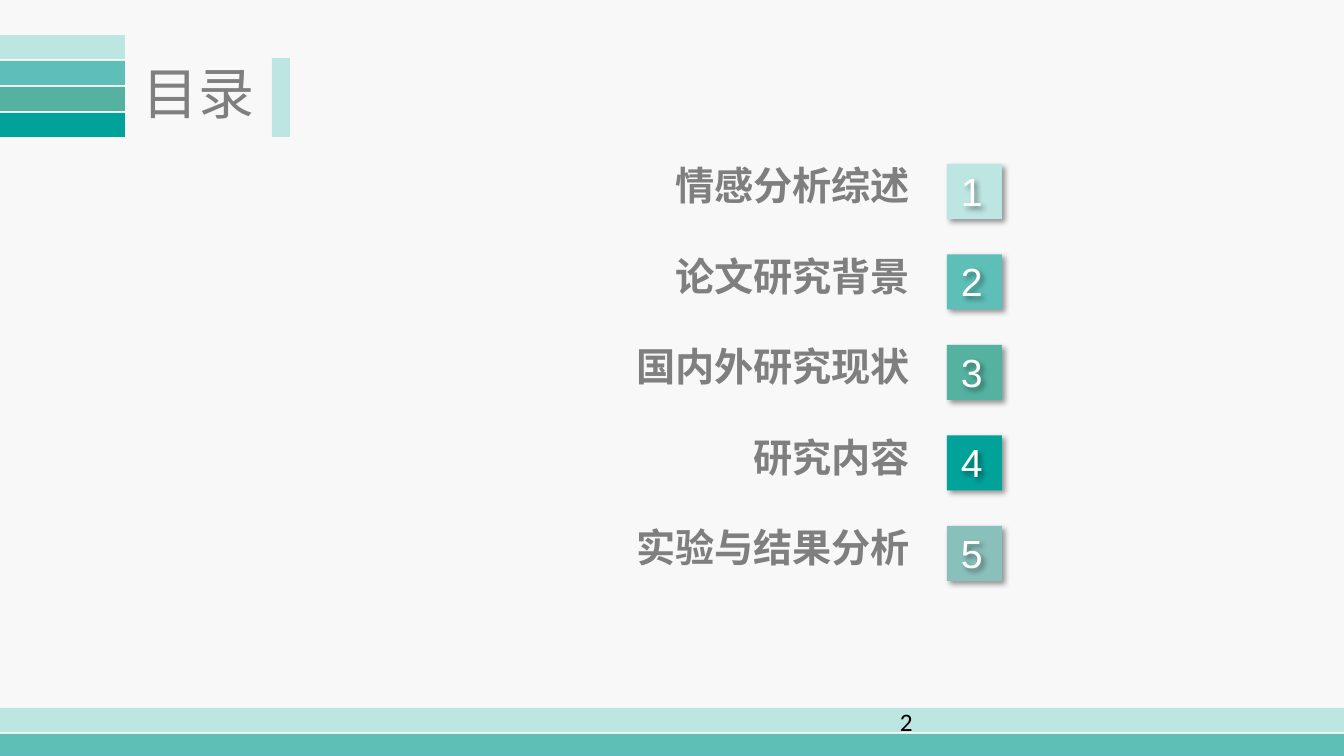
from lxml.etree import SubElement
from pptx import Presentation
from pptx.dml.color import RGBColor
from pptx.enum.shapes import MSO_SHAPE
from pptx.enum.text import MSO_ANCHOR, PP_ALIGN
from pptx.oxml import parse_xml
from pptx.oxml.ns import nsdecls, qn
from pptx.util import Pt

PX = 914400 / 100.8
CJK = "Noto Sans CJK SC"
GREY, WHITE = "7F7F7F", "FFFFFF"
TEALS = ["BDE5E2", "5EBFB8", "55B2A0", "00A29A", "8AC0BB"]
ENTRIES = ["情感分析综述", "论文研究背景", "国内外研究现状", "研究内容", "实验与结果分析"]
SHADOW = f"""<a:effectLst {nsdecls('a')}>
  <a:outerShdw blurRad="50800" dist="38100" dir="2700000" algn="tl" rotWithShape="0">
    <a:srgbClr val="000000"><a:alpha val="40000"/></a:srgbClr>
  </a:outerShdw>
</a:effectLst>"""


def add_bar(x, y, w, h, color):
    sp = s.shapes.add_shape(MSO_SHAPE.RECTANGLE, *(round(v * PX) for v in (x, y, w, h)))
    sp.shadow.inherit = False
    sp.fill.solid()
    sp.fill.fore_color.rgb = RGBColor.from_string(color)
    sp.line.fill.background()
    return sp


def put_text(sp, box, text, size, font, color, align=PP_ALIGN.LEFT, bold=False):
    """Place a text shape and write one formatted line in it."""
    sp.left, sp.top, sp.width, sp.height = (round(v * PX) for v in box)
    tf = sp.text_frame
    tf.word_wrap = True
    tf.vertical_anchor = MSO_ANCHOR.TOP
    p = tf.paragraphs[0]
    p.alignment = align
    r = p.add_run()
    r.text = text
    r.font.size = Pt(size)
    r.font.bold = bold
    r.font.color.rgb = RGBColor.from_string(color)
    r.font.name = font
    if font == CJK:
        p.line_spacing = 0.9
        SubElement(r.font._element, qn("a:ea")).set("typeface", font)


prs = Presentation()
prs.slide_width = round(1344 * PX)
prs.slide_height = round(756 * PX)
s = prs.slides.add_slide(prs.slide_layouts[5])
s.background.fill.solid()
s.background.fill.fore_color.rgb = RGBColor.from_string("F8F8F8")

# Footer bands and slide number
add_bar(0, 708, 1344, 24, TEALS[0])
add_bar(0, 734, 1344, 22, TEALS[1])
put_text(s.shapes.add_textbox(0, 0, 0, 0), (890, 701, 361, 40), "2", 18, "Calibri", "000000")

# Heading with its stripes and accent bar
put_text(s.shapes.title, (28, 61, 340, 78), "目录", 40, CJK, GREY, PP_ALIGN.CENTER)
for i, color in enumerate(TEALS[:4]):
    add_bar(0, 35 + 26 * i, 125, 24, color)
add_bar(272, 58, 18, 79, TEALS[0])

# Contents entries, each with a numbered tile
for i, (entry, color) in enumerate(zip(ENTRIES, TEALS)):
    y = 164 + 90.5 * i
    put_text(s.shapes.add_textbox(0, 0, 0, 0), (520, y - 2, 400, 57),
             entry, 28, CJK, GREY, PP_ALIGN.RIGHT, True)
    tile = add_bar(947, y, 55, 55, color)
    number = s.shapes.add_textbox(0, 0, 0, 0)
    put_text(number, (951, y - 2, 60, 57), str(i + 1), 28, "Arial", WHITE)
    for sp in (tile, number):
        sp.shadow.inherit = True
        sp._element.spPr.append(parse_xml(SHADOW))

prs.save("out.pptx")
